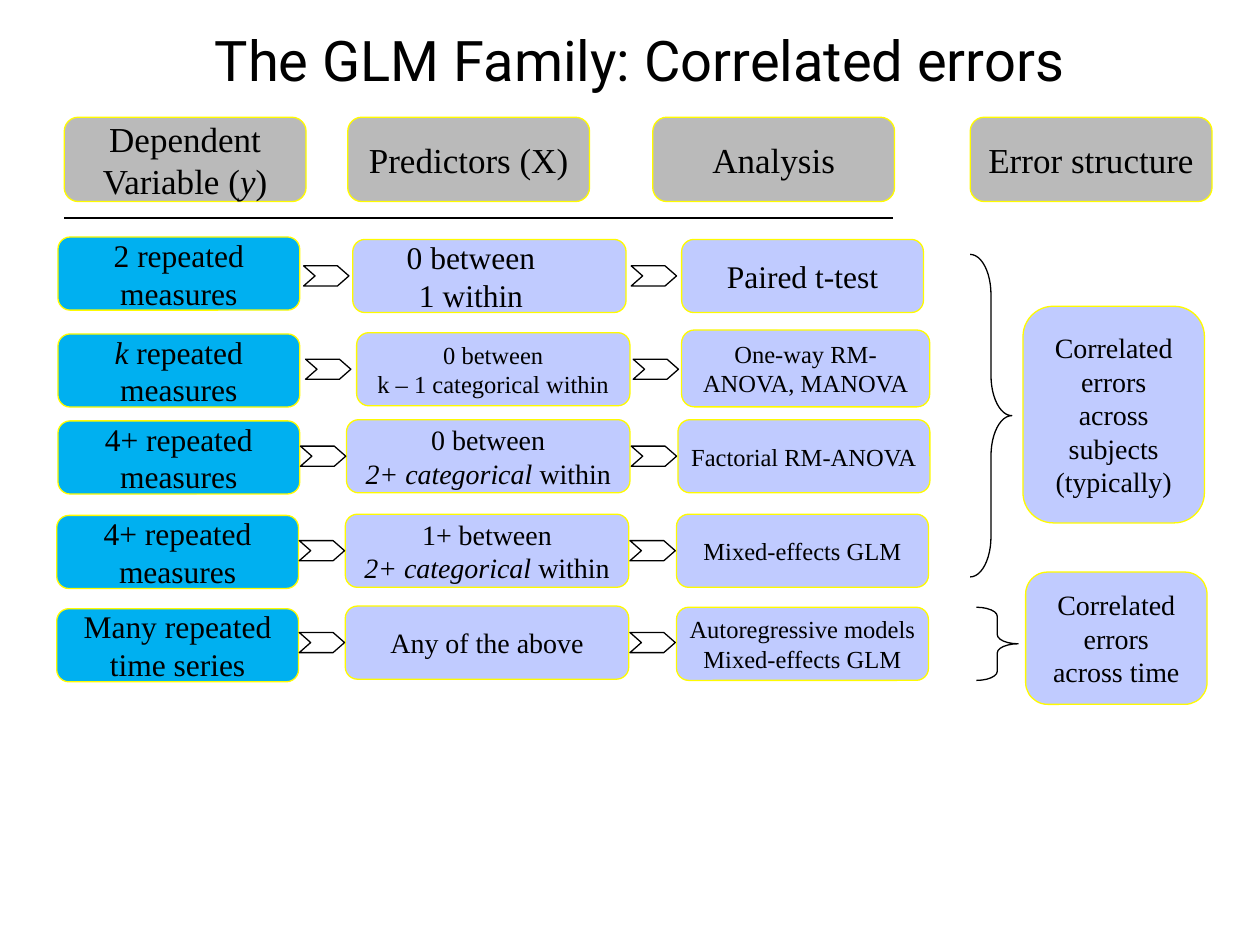
from dataclasses import dataclass
from typing import Any, Optional

import lxml.etree
import pptx
import pptx.dml.color
import pptx.enum.shapes
import pptx.enum.text
import pptx.oxml.ns
import pptx.util

Pt = pptx.util.Pt
Shapes = pptx.enum.shapes.MSO_SHAPE
qn = pptx.oxml.ns.qn


@dataclass(frozen=True)
class Fill:
    color: str
    opacity: Optional[int] = None  # percent


@dataclass(frozen=True)
class Theme:
    ink: str = "000000"
    border: str = "FFFB00"
    header: Fill = Fill("000000", 27)
    outcome: Fill = Fill("00B0F0")
    model: Fill = Fill("0433FF", 25)
    title_font: str = "Roboto"
    body_font: str = "Times New Roman"
    title: float = 32
    heading: float = 20
    large: float = 18
    medium: float = 16
    small: float = 14
    line: float = 0.75
    inset: float = 2.9


THEME = Theme()


@dataclass(frozen=True)
class Box:
    """A rounded box; asterisks in the text enclose italics."""
    text: str
    left: float
    top: float
    width: float
    height: float
    size: float
    fill: Fill
    extra_right: float = 0


def outcome(text: str, left: float, top: float) -> Box:
    return Box(text, left, top, 138.2, 41.8, THEME.large, THEME.outcome)


def model(text: str, left: float, top: float, width: float, size: float,
          height: float = 41.8, extra_right: float = 0) -> Box:
    return Box(text, left, top, width, height, size, THEME.model, extra_right)


HEADERS = [
    Box(text, left, 67, 138.2, 48.2, THEME.heading, THEME.header)
    for text, left in [("Dependent Variable (*y*)", 36.7), ("Predictors (X)", 198.7),
                       ("Analysis", 373), ("Error structure", 554.4)]
]
ROWS = [
    (outcome("2 repeated measures", 33.1, 135.4),
     model("0 between\n1 within", 201.6, 136.8, 156.2, THEME.large, extra_right=21),
     model("Paired t-test", 389.5, 136.8, 138.2, THEME.large)),
    (outcome("*k* repeated measures", 33.1, 190.8),
     model("0 between\nk – 1 categorical within", 203.8, 190.1, 156.2, THEME.small),
     model("One-way RM-ANOVA, MANOVA", 389.5, 188.6, 141.8, THEME.small, 43.9)),
    (outcome("4+ repeated measures", 33.1, 240.5),
     model("0 between\n*2+ categorical *within", 198, 239.8, 162, THEME.medium),
     model("Factorial RM-ANOVA", 387.4, 239.8, 144, THEME.small)),
    (outcome("4+ repeated measures", 32.4, 294.5),
     model("1+ between\n*2+ categorical *within", 197.3, 293.8, 162, THEME.medium),
     model("Mixed-effects GLM", 386.6, 293.8, 144, THEME.small)),
    (outcome("Many repeated time series", 32.4, 347.8),
     model("Any of the above", 197.3, 346.3, 162, THEME.medium),
     model("Autoregressive models\nMixed-effects GLM", 386.6, 347, 144, THEME.small)),
]
ERROR_BOXES = [
    model("Correlated errors\nacross subjects (typically)", 584.6, 175, 103.7, THEME.medium, 123.8),
    model("Correlated errors\nacross time", 586.1, 326.9, 103.7, THEME.medium, 75.6),
]
# left, top, height, curl
BRACES = [(554.4, 145.4, 184.3, 0.97), (558, 347, 41.8, 0.22)]


def rgb(color: str) -> Any:
    return pptx.dml.color.RGBColor.from_string(color)


def apply(target: Any, values: dict[str, Any]) -> None:
    for name, value in values.items():
        setattr(target, name, value)


def write(frame: Any, text: str, size: float, font: str, extra_right: float = 0) -> None:
    apply(frame, {
        "word_wrap": True,
        "vertical_anchor": pptx.enum.text.MSO_ANCHOR.MIDDLE,
        "margin_left": Pt(THEME.inset),
        "margin_top": Pt(THEME.inset),
        "margin_right": Pt(THEME.inset + extra_right),
        "margin_bottom": Pt(THEME.inset),
    })
    for index, line in enumerate(text.split("\n")):
        para = frame.add_paragraph() if index else frame.paragraphs[0]
        para.alignment = pptx.enum.text.PP_ALIGN.CENTER
        for part, words in enumerate(line.split("*")):
            if words:
                span = para.add_run()
                span.text = words
                apply(span.font, {"name": font, "size": Pt(size), "italic": part % 2 == 1})
                span.font.color.rgb = rgb(THEME.ink)


def add_outline(page: Any, kind: Any, left: float, top: float, width: float, height: float,
                line: str, adjustment: float) -> Any:
    """Add an unfilled preset shape with a thin line."""
    shape = page.shapes.add_shape(kind, Pt(left), Pt(top), Pt(width), Pt(height))
    shape.shadow.inherit = False
    shape.adjustments[0] = adjustment
    shape.fill.background()
    shape.line.color.rgb = rgb(line)
    shape.line.width = Pt(THEME.line)
    return shape


def add_box(page: Any, box: Box) -> None:
    shape = add_outline(page, Shapes.ROUNDED_RECTANGLE, box.left, box.top, box.width,
                        box.height, THEME.border, 0.167)
    shape.fill.solid()
    shape.fill.fore_color.rgb = rgb(box.fill.color)
    if box.fill.opacity is not None:
        color = shape._element.spPr.find(qn("a:solidFill")).find(qn("a:srgbClr"))
        lxml.etree.SubElement(color, qn("a:alpha"), val=str(box.fill.opacity * 1000))
    write(shape.text_frame, box.text, box.size, THEME.body_font, box.extra_right)


def add_chevron(page: Any, before: Box, after: Box, middle: float) -> None:
    """Centre a chevron in the gap between two neighbouring boxes."""
    width, height = 25.9, 11.5
    centre = (before.left + before.width + after.left) / 2
    add_outline(page, Shapes.CHEVRON, centre - width / 2, middle - height / 2,
                width, height, THEME.ink, 0.569)


def add_rule(page: Any, left: float, right: float, top: float) -> None:
    rule = page.shapes.add_connector(pptx.enum.shapes.MSO_CONNECTOR.STRAIGHT,
                                     Pt(left), Pt(top), Pt(right), Pt(top))
    rule.line.color.rgb = rgb(THEME.ink)
    rule.line.width = Pt(THEME.line)
    lxml.etree.SubElement(rule._element.spPr, qn("a:effectLst"))


def main() -> None:
    deck = pptx.Presentation()
    apply(deck, {"slide_width": Pt(720), "slide_height": Pt(540)})
    page = deck.slides.add_slide(deck.slide_layouts[6])

    title = page.shapes.add_textbox(Pt(59.8), Pt(3.6), Pt(612), Pt(59.8))
    write(title.text_frame, "The GLM Family: Correlated errors", THEME.title, THEME.title_font)
    add_rule(page, 36.7, 510.5, 124.6)

    for header in HEADERS:
        add_box(page, header)
    for row in ROWS:
        for box in row:
            add_box(page, box)
        middle = row[1].top + row[1].height / 2
        for before, after in zip(row, row[1:]):
            add_chevron(page, before, after, middle)
    for left, top, height, curl in BRACES:
        add_outline(page, Shapes.RIGHT_BRACE, left, top, 23.8, height, THEME.ink, curl)
    for box in ERROR_BOXES:
        add_box(page, box)

    deck.save("out.pptx")


if __name__ == "__main__":
    main()
